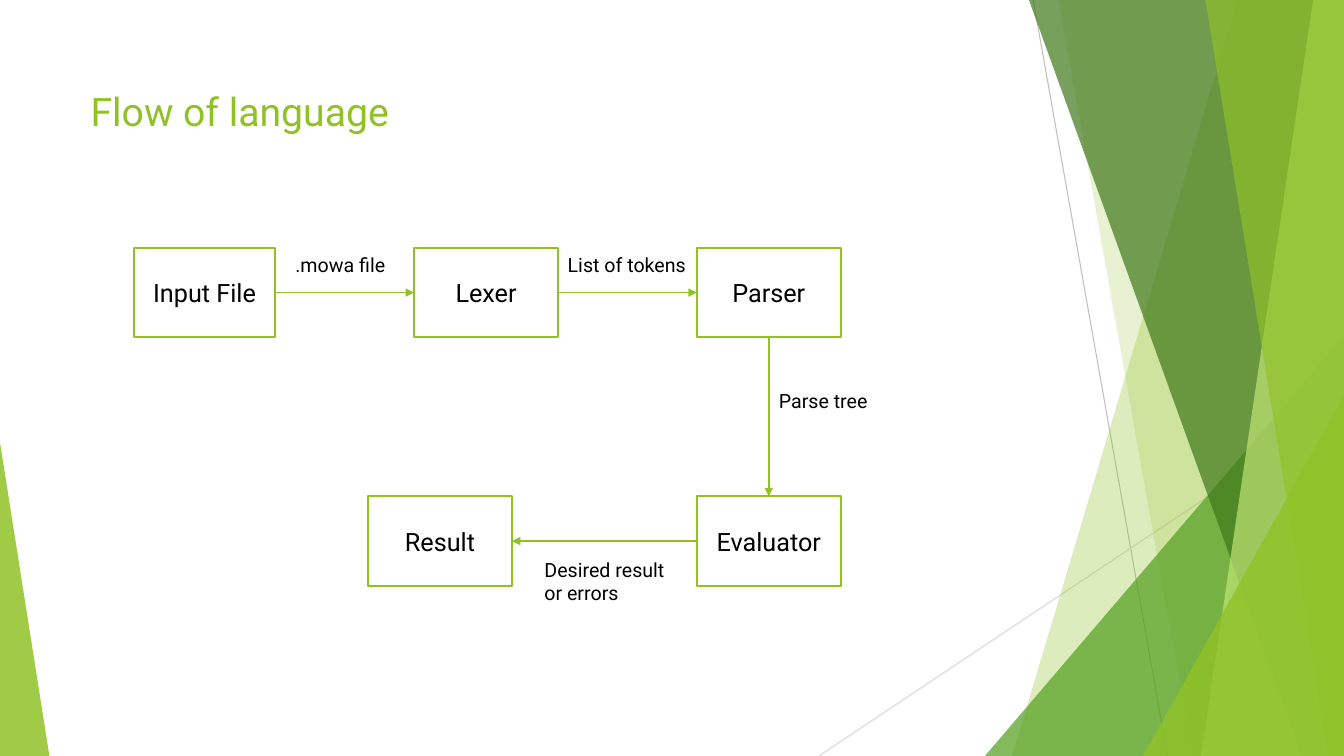
from lxml import etree
from pptx import Presentation
from pptx.dml.color import RGBColor
from pptx.enum.shapes import MSO_CONNECTOR, MSO_SHAPE
from pptx.enum.text import MSO_ANCHOR, PP_ALIGN
from pptx.oxml.ns import qn
from pptx.util import Pt

WIDTH, HEIGHT = 960, 540
GREEN = RGBColor(0x90, 0xC2, 0x26)
MID_GREEN = RGBColor(0x54, 0xA0, 0x21)
DARK_GREEN = RGBColor(0x3F, 0x78, 0x19)
PALE_GREEN = RGBColor(0xC0, 0xE4, 0x74)
GREY = RGBColor(0xBF, 0xBF, 0xBF)
LIGHT_GREY = RGBColor(0xD9, 0xD9, 0xD9)
WHITE = RGBColor(0xFF, 0xFF, 0xFF)
BLACK = RGBColor(0, 0, 0)
TOP, LEFT, BOTTOM, RIGHT = range(4)

presentation = Presentation()
presentation.slide_width, presentation.slide_height = Pt(WIDTH), Pt(HEIGHT)
slide = presentation.slides.add_slide(presentation.slide_layouts[6])
shapes = slide.shapes


def write_text(shape, text, size, color=BLACK, align=PP_ALIGN.LEFT, anchor=MSO_ANCHOR.TOP):
    frame = shape.text_frame
    frame.word_wrap = True
    frame.vertical_anchor = anchor
    paragraph = frame.paragraphs[0]
    paragraph.alignment = align
    run = paragraph.add_run()
    run.text = text
    run.font.name = "Roboto"
    run.font.size = Pt(size)
    run.font.color.rgb = color


def add_line(start, end, color, width):
    line = shapes.add_connector(MSO_CONNECTOR.STRAIGHT, *map(Pt, start + end))
    line.line.color.rgb = color
    line.line.width = Pt(width)
    etree.SubElement(line._element.spPr, qn("a:effectLst"))
    return line


# Background decoration, back to front
add_line((738, 0), (834, HEIGHT), GREY, 0.75)
add_line((WIDTH, 290), (585, HEIGHT), LIGHT_GREY, 0.75)

# Bands run to the right edge: (top x, bottom x)
# Triangles stand on the bottom edge: (left, top, width, apex position)
decorations = [
    ("band", (884, 723), GREEN, 30),
    ("band", (756, 852), GREEN, 20),
    ("triangle", (703.5, 240, 256.5, 1), MID_GREEN, 72),
    ("band", (735, 930), DARK_GREEN, 70),
    ("band", (938, 858), PALE_GREEN, 70),
    ("band", (861, 949), GREEN, 65),
    ("triangle", (816.5, 283, 143.5, 1), GREEN, 80),
    ("triangle", (0, 316, 35.3, 0), GREEN, 85),
]
for kind, geometry, color, opacity in decorations:
    if kind == "band":
        top_x, bottom_x = geometry
        builder = shapes.build_freeform(top_x, 0, scale=Pt(1))
        builder.add_line_segments([(WIDTH, 0), (WIDTH, HEIGHT), (bottom_x, HEIGHT)], close=True)
        shape = builder.convert_to_shape()
    else:
        left, top, width, apex = geometry
        shape = shapes.add_shape(MSO_SHAPE.ISOSCELES_TRIANGLE,
                                 Pt(left), Pt(top), Pt(width), Pt(HEIGHT - top))
        shape.adjustments[0] = apex
    shape.shadow.inherit = False
    shape.fill.solid()
    shape.fill.fore_color.rgb = color
    shape.line.fill.background()
    color_element = shape._element.spPr.find(qn("a:solidFill"))[0]
    etree.SubElement(color_element, qn("a:alpha"), val=str(opacity * 1000))

title = shapes.add_textbox(Pt(57.6), Pt(54), Pt(374), Pt(50))
write_text(title, "Flow of language", 28, color=GREEN, anchor=MSO_ANCHOR.MIDDLE)

# Stages of the flow
UPPER_ROW, LOWER_ROW = 177, 354.5
boxes = {}
for name, left, top, width in [
    ("Input File", 95.6, UPPER_ROW, 101),
    ("Lexer", 295.7, UPPER_ROW, 103),
    ("Parser", 497.7, UPPER_ROW, 103),
    ("Evaluator", 497.7, LOWER_ROW, 103),
    ("Result", 262.8, LOWER_ROW, 103),
]:
    box = shapes.add_shape(MSO_SHAPE.RECTANGLE, Pt(left), Pt(top), Pt(width), Pt(64))
    box.shadow.inherit = False
    box.fill.solid()
    box.fill.fore_color.rgb = WHITE
    box.line.color.rgb = GREEN
    box.line.width = Pt(1.5)
    write_text(box, name, 18, align=PP_ALIGN.CENTER, anchor=MSO_ANCHOR.MIDDLE)
    boxes[name] = box

for source, source_side, target, target_side in [
    ("Input File", RIGHT, "Lexer", LEFT),
    ("Lexer", RIGHT, "Parser", LEFT),
    ("Parser", BOTTOM, "Evaluator", TOP),
    ("Evaluator", LEFT, "Result", RIGHT),
]:
    arrow = add_line((0, 0), (0, 0), GREEN, 1)
    arrow.begin_connect(boxes[source], source_side)
    arrow.end_connect(boxes[target], target_side)
    etree.SubElement(arrow.line._get_or_add_ln(), qn("a:tailEnd"), type="triangle")

for text, left, top, width, height in [
    (".mowa file", 203.8, UPPER_ROW, 84, 24.5),
    ("List of tokens", 398.4, UPPER_ROW, 101, 24.5),
    ("Parse tree", 549.2, 274.3, 84, 24.5),
    ("Desired result or errors", 381.8, 394.8, 103, 41),
]:
    label = shapes.add_textbox(Pt(left), Pt(top), Pt(width), Pt(height))
    write_text(label, text, 14)

presentation.save("out.pptx")
